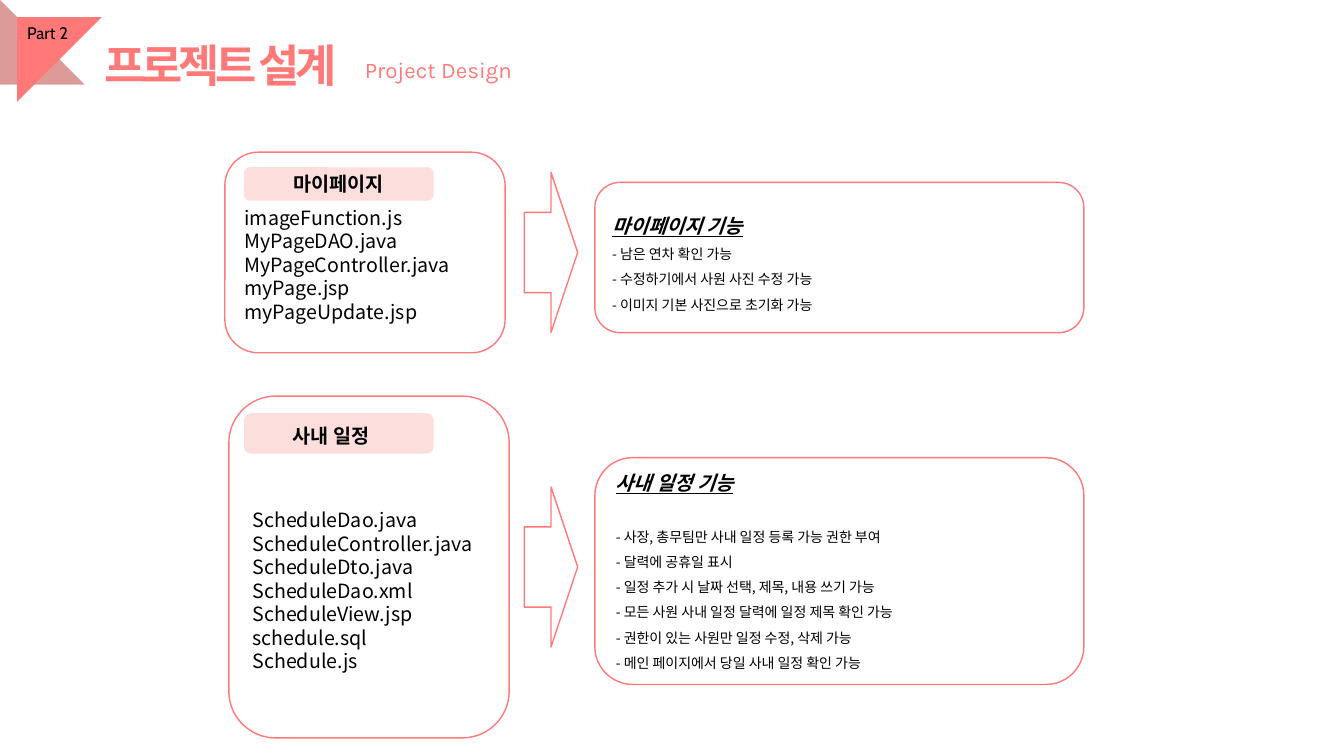
from dataclasses import dataclass

from pptx import Presentation
from pptx.dml.color import RGBColor
from pptx.enum.shapes import MSO_SHAPE
from pptx.enum.text import MSO_ANCHOR, MSO_AUTO_SIZE, PP_ALIGN
from pptx.oxml.ns import qn
from pptx.util import Inches, Pt

ROUND = MSO_SHAPE.ROUNDED_RECTANGLE
ARROW = MSO_SHAPE.RIGHT_ARROW
CORNER = MSO_SHAPE.RIGHT_TRIANGLE
MIDDLE = MSO_ANCHOR.MIDDLE
GROW = MSO_AUTO_SIZE.SHAPE_TO_FIT_TEXT
LEFT, CENTER = PP_ALIGN.LEFT, PP_ALIGN.CENTER


@dataclass(frozen=True)
class Theme:
    coral: str = "FF7979"
    dusk: str = "DC9A98"
    blush: str = "FCDEDC"
    ink: str = "000000"
    sans: str = "Noto Sans CJK KR"
    tag: str = "Cabin"
    latin: str = "Karla"
    title: int = 32
    sub: int = 16
    body: int = 14
    small: int = 12
    note: int = 10


T = Theme()
NAME = {"size": Pt(T.body), "bold": True}
HEAD = {**NAME, "italic": True, "underline": True}
NOTE = {"size": Pt(T.note)}
CODE = {"size": Pt(T.body)}
LINE = 0.233  # height of one line of code names


def assign(target, values):
    for key, value in values.items():
        setattr(target, key, value)


def write(frame, lines, color=T.ink, face=T.sans):
    """Fill a frame from (text, font values, paragraph values) rows."""
    for i, (text, font, para) in enumerate(lines):
        p = frame.paragraphs[0] if i == 0 else frame.add_paragraph()
        assign(p, {"alignment": LEFT, **para})
        run = p.add_run()
        run.text = text
        assign(run.font, {"name": face, **font})
        run.font.color.rgb = RGBColor.from_string(color)
        east = run.font._element.makeelement(qn("a:ea"), {"typeface": face})
        run.font._element.find(qn("a:latin")).addnext(east)
    return run


def draw(shapes, kind, box, fill=None, line=None):
    shape = shapes.add_shape(kind, *map(Inches, box))
    shape.shadow.inherit = False
    if fill:
        shape.fill.solid()
        shape.fill.fore_color.rgb = RGBColor.from_string(fill)
    else:
        shape.fill.background()
    if line:
        shape.line.color.rgb = RGBColor.from_string(line)
        shape.line.width = Pt(1)
    else:
        shape.line.fill.background()
    assign(shape.text_frame, {"word_wrap": True, "vertical_anchor": MIDDLE})
    return shape


def label(shapes, box, text, font, face, color, wrap=True):
    frame = shapes.add_textbox(*map(Inches, box)).text_frame
    assign(frame, {"word_wrap": wrap, "auto_size": GROW})
    return write(frame, [(text, font, {})], color, face)


def header(shapes, x, y):
    # Folded corner
    side = 0.84
    draw(shapes, CORNER, (x, y, side, side), T.dusk)
    front = draw(shapes, CORNER, (x + 0.17, y + 0.17, side, side), T.coral)
    front.rotation = 90
    # Tag, title and subtitle
    label(shapes, (x + 0.17, y + 0.18, 0.67, 0.3), "Part 2",
          {"size": Pt(T.small)}, T.tag, T.ink, False)
    title = label(shapes, (x + 0.94, y + 0.33, 2.81, 0.64), "프로젝트 설계",
                  {"size": Pt(T.title), "bold": True}, T.sans, T.coral)
    title.font._element.set("spc", "-300")
    label(shapes, (x + 3.52, y + 0.51, 2.38, 0.37), "Project Design",
          {"size": Pt(T.sub)}, T.latin, T.coral)


def files(shapes, box, tab, name, names, drop, nudge):
    """Card of file names with a named tab; drop counts lines of lead."""
    group = shapes.add_group_shape().shapes
    card = draw(group, ROUND, box, line=T.coral).text_frame
    card.margin_top = Inches(0.05 + drop * LINE)
    write(card, [(n, CODE, {}) for n in names])
    frame = draw(group, ROUND, tab, T.blush).text_frame
    assign(frame, {"margin_right": Inches(0.1 + nudge),
                   "margin_top": Inches(0.05 + nudge / 3)})
    write(frame, [(name, NAME, {"alignment": CENTER})])


def details(shapes, box, head, notes, lead, gap):
    """Card of notes; lead is the heading's spacing, gap the space below."""
    frame = draw(shapes, ROUND, box, line=T.coral).text_frame
    rows = [(head, HEAD, {"line_spacing": lead})]
    rows += [("- " + n, NOTE, {"line_spacing": 1.5}) for n in notes]
    if gap:
        rows[1][2]["space_before"] = Pt(gap)
    write(frame, rows)


def feature(shapes, item):
    """One row: files, arrow, details."""
    files(shapes, item["card"], item["tab"], item["name"], item["files"],
          item["drop"], item["nudge"])
    draw(shapes, ARROW, (5.2, item["arrow"], 0.53, 1.59), line=T.coral)
    top, high = item["panel"]
    details(shapes, (5.9, top, 4.85, high), item["name"] + " 기능",
            item["notes"], item["lead"], item["gap"])


FEATURES = [
    {
        "name": "마이페이지",
        "card": (2.23, 1.51, 2.78, 1.99), "tab": (2.42, 1.66, 1.88, 0.33),
        "arrow": 1.71, "panel": (1.81, 1.49),
        "drop": 1, "nudge": 0, "lead": 1.5, "gap": 0,
        "files": ["imageFunction.js", "MyPageDAO.java",
                  "MyPageController.java", "myPage.jsp", "myPageUpdate.jsp"],
        "notes": ["남은 연차 확인 가능", "수정하기에서 사원 사진 수정 가능",
                  "이미지 기본 사진으로 초기화 가능"],
    },
    {
        "name": "사내 일정",
        "card": (2.27, 3.93, 2.78, 3.39), "tab": (2.42, 4.1, 1.88, 0.4),
        "arrow": 4.83, "panel": (4.54, 2.25),
        "drop": 2, "nudge": 0.15, "lead": 1.0, "gap": 18,
        "files": ["ScheduleDao.java", "ScheduleController.java",
                  "ScheduleDto.java", "ScheduleDao.xml", "ScheduleView.jsp",
                  "schedule.sql", "Schedule.js"],
        "notes": ["사장, 총무팀만 사내 일정 등록 가능 권한 부여",
                  "달력에 공휴일 표시",
                  "일정 추가 시 날짜 선택, 제목, 내용 쓰기 가능",
                  "모든 사원 사내 일정 달력에 일정 제목 확인 가능",
                  "권한이 있는 사원만 일정 수정, 삭제 가능",
                  "메인 페이지에서 당일 사내 일정 확인 가능"],
    },
]


def main():
    deck = Presentation()
    assign(deck, {"slide_width": Inches(13.33), "slide_height": Inches(7.5)})
    shapes = deck.slides.add_slide(deck.slide_layouts[6]).shapes
    for item in FEATURES:
        feature(shapes, item)
    header(shapes, 0, 0)
    deck.save("out.pptx")


if __name__ == "__main__":
    main()
